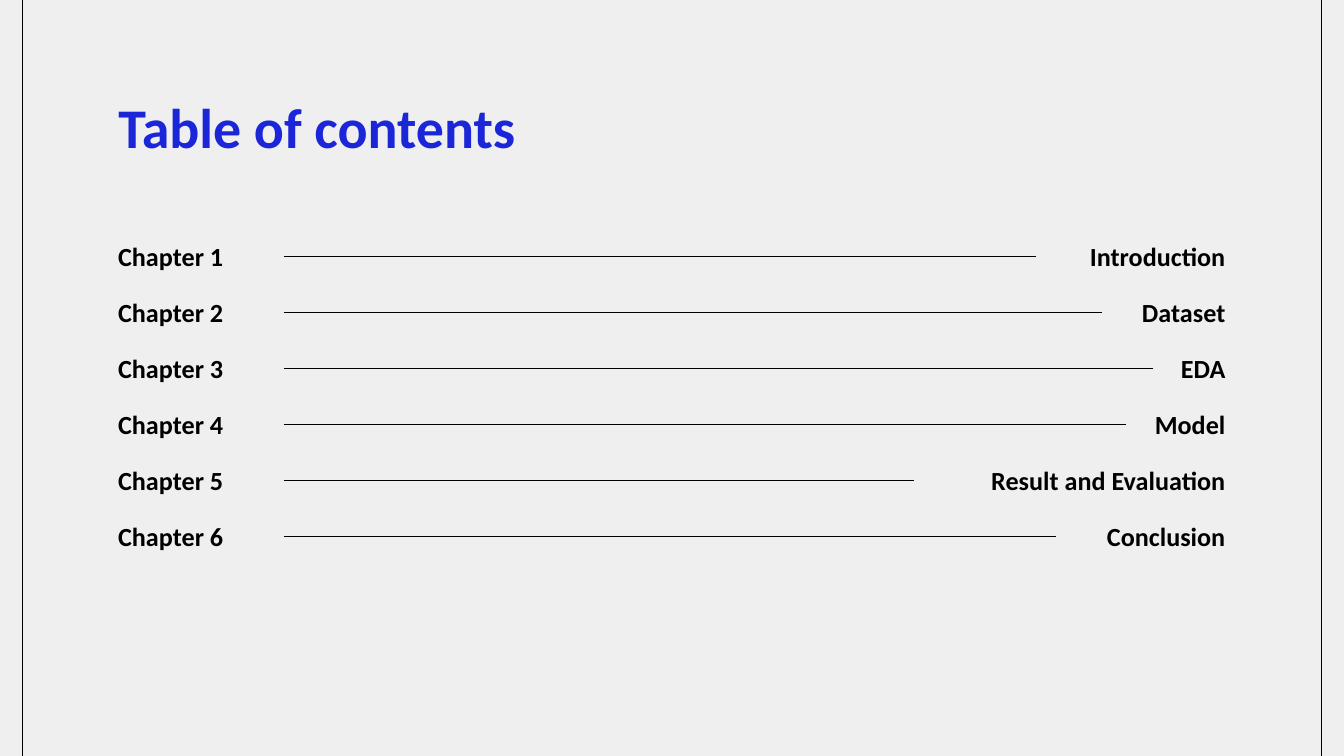
from dataclasses import dataclass

from lxml import etree
from pptx import Presentation
from pptx.dml.color import RGBColor
from pptx.enum import shapes, text
from pptx.oxml import ns
from pptx.util import Pt


@dataclass(frozen=True)
class Theme:
    font: str = "Calibri"
    background: RGBColor = RGBColor(0xEF, 0xEF, 0xEF)
    ink: RGBColor = RGBColor(0, 0, 0)
    accent: RGBColor = RGBColor(0x1C, 0x26, 0xD9)
    title_size: int = 30
    entry_size: int = 14
    line_width: float = 0.75
    inset: float = 7.2


class SlideBuilder:
    def __init__(self, slide, theme):
        self.slide = slide
        self.theme = theme
        fill = slide.background.fill
        fill.solid()
        fill.fore_color.rgb = theme.background

    def set_text(self, sp, wording, size, color, align, anchor):
        tf = sp.text_frame
        tf.word_wrap = True
        tf.auto_size = text.MSO_AUTO_SIZE.NONE
        tf.vertical_anchor = anchor
        tf.margin_left = tf.margin_right = Pt(self.theme.inset)
        tf.margin_top = tf.margin_bottom = Pt(self.theme.inset)
        p = tf.paragraphs[0]
        p.text = wording
        p.alignment = align
        p.font.name = self.theme.font
        p.font.size = Pt(size)
        p.font.bold = True
        p.font.color.rgb = color

    def title(self, wording, left, top, width, height):
        sp = self.slide.shapes.title
        sp.left, sp.top, sp.width, sp.height = map(Pt, (left, top, width, height))
        self.set_text(sp, wording, self.theme.title_size, self.theme.accent,
                      text.PP_ALIGN.LEFT, text.MSO_ANCHOR.TOP)

    def entry(self, wording, left, top, width, height, align):
        sp = self.slide.shapes.add_textbox(*map(Pt, (left, top, width, height)))
        self.set_text(sp, wording, self.theme.entry_size, self.theme.ink,
                      align, text.MSO_ANCHOR.MIDDLE)

    def line(self, x1, y1, x2, y2):
        sp = self.slide.shapes.add_connector(
            shapes.MSO_CONNECTOR.STRAIGHT, *map(Pt, (x1, y1, x2, y2)))
        sp.line.color.rgb = self.theme.ink
        sp.line.width = Pt(self.theme.line_width)
        etree.SubElement(sp._element.spPr, ns.qn("a:effectLst"))


WIDTH, HEIGHT = 720, 405
LEFT, RIGHT = 56.2, 663.6
FRAME_MARGIN = 12
FIRST_ROW, ROW_HEIGHT = 122.4, 30
LABEL_WIDTH, NAME_WIDTH = 95.8, 292
CHAPTERS = [
    ("Introduction", 555.2),
    ("Dataset", 590.4),
    ("EDA", 617.7),
    ("Model", 603.3),
    ("Result and Evaluation", 489.9),
    ("Conclusion", 565.8),
]


def main():
    prs = Presentation()
    prs.slide_width, prs.slide_height = Pt(WIDTH), Pt(HEIGHT)
    s = SlideBuilder(prs.slides.add_slide(prs.slide_layouts[5]), Theme())

    for x in (FRAME_MARGIN, WIDTH - FRAME_MARGIN):
        s.line(x, 0, x, HEIGHT)
    s.title("Table of contents", LEFT, 42.5, RIGHT - LEFT, 50.4)

    for i, (name, line_end) in enumerate(CHAPTERS):
        top = FIRST_ROW + i * ROW_HEIGHT
        middle = top + ROW_HEIGHT / 2
        s.entry(f"Chapter {i + 1}", LEFT, top, LABEL_WIDTH, ROW_HEIGHT,
                text.PP_ALIGN.LEFT)
        s.entry(name, RIGHT - NAME_WIDTH, top, NAME_WIDTH, ROW_HEIGHT,
                text.PP_ALIGN.RIGHT)
        s.line(LEFT + LABEL_WIDTH, middle, line_end, middle)

    prs.save("out.pptx")


if __name__ == "__main__":
    main()
